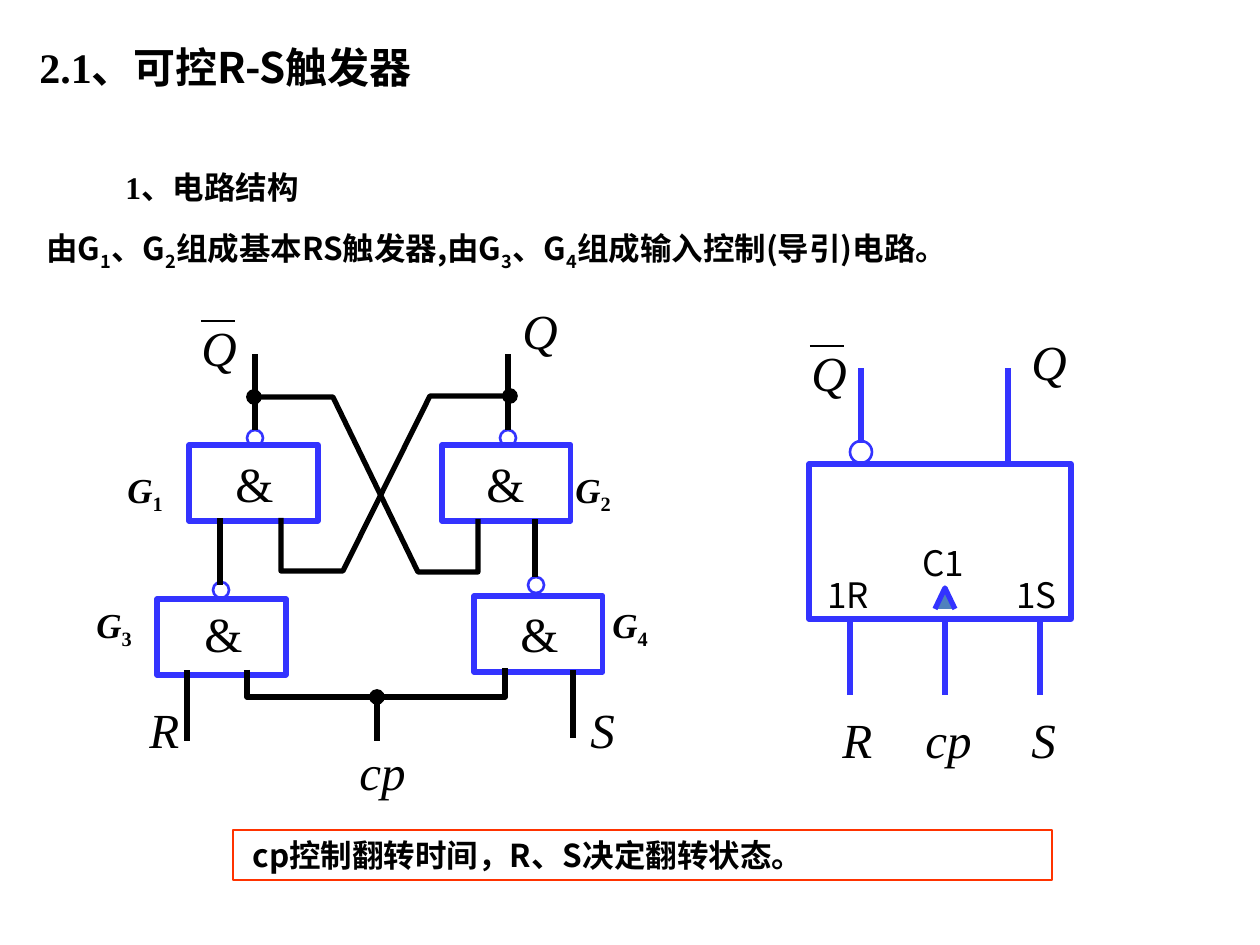
from lxml.etree import SubElement
from pptx import Presentation
from pptx.dml.color import RGBColor
from pptx.enum.shapes import MSO_CONNECTOR, MSO_SHAPE
from pptx.enum.text import MSO_ANCHOR, MSO_AUTO_SIZE, PP_ALIGN
from pptx.oxml.ns import qn
from pptx.util import Pt

PX = 914400 / 126
THEME = {
    "black": RGBColor(0x00, 0x00, 0x00),
    "blue": RGBColor(0x33, 0x33, 0xFF),
    "red": RGBColor(0xFF, 0x33, 0x00),
    "clock": RGBColor(0x4F, 0x81, 0xBD),
    "serif": "Times New Roman",
    "sans": "Noto Sans CJK SC",
    "title": Pt(24),
    "body": Pt(18),
    "symbol": Pt(28),
    "pin": Pt(20),
    "wire": Pt(3),
    "thin": Pt(1.5),
    "frame": Pt(0.75),
}

deck = Presentation()
deck.slide_width, deck.slide_height = round(1260 * PX), round(945 * PX)
page = deck.slides.add_slide(deck.slide_layouts[5])


def write(box, pieces, size, bold=False, italic=False):
    para = box.text_frame.paragraphs[0]
    for face, text in pieces:
        first, *rest = text.split("_")
        parts = [(first, False)]
        for part in rest:
            parts += [(part[0], True), (part[1:], False)]
        for part, lowered in parts:
            if not part:
                continue
            span = para.add_run()
            span.text = part
            looks = {"name": THEME[face], "size": THEME[size],
                     "bold": bold, "italic": italic and not lowered}
            for name, value in looks.items():
                setattr(span.font, name, value)
            span.font.color.rgb = THEME["black"]
            SubElement(span.font._element, qn("a:ea"), typeface=THEME[face])
            if lowered:
                span.font._element.set("baseline", "-25000")
    return para


def draw_line(points, color="black", weight="wire", dot=False):
    if len(points) == 2:
        ends = [round(value * PX) for point in points for value in point]
        wire = page.shapes.add_connector(MSO_CONNECTOR.STRAIGHT, *ends)
    else:
        outline = page.shapes.build_freeform(*points[0], scale=PX)
        outline.add_line_segments(points[1:], close=False)
        wire = outline.convert_to_shape()
        wire.fill.background()
    wire.line.color.rgb = THEME[color]
    wire.line.width = THEME[weight]
    if dot:
        SubElement(wire.line._get_or_add_ln(), qn("a:tailEnd"), type="oval")
    SubElement(wire._element.spPr, qn("a:effectLst"))
    return wire


title = page.shapes.title
place = {"left": 0, "top": 35, "width": 451, "height": 63}
for name, value in place.items():
    setattr(title, name, round(value * PX))
settings = {"vertical_anchor": MSO_ANCHOR.MIDDLE, "auto_size": MSO_AUTO_SIZE.NONE,
            "word_wrap": True}
for name, value in settings.items():
    setattr(title.text_frame, name, value)
heading = write(title, [("serif", "2.1"), ("sans", "、可控R-S触发器")], "title", bold=True)
heading.alignment = PP_ALIGN.CENTER

gates = [
    ("G_1", 189, 445, 247, 430, 223, 447, 115, 462),
    ("G_2", 442, 445, 500, 430, 474, 447, 563, 462),
    ("G_3", 157, 599, 213, 582, 192, 597, 84, 597),
    ("G_4", 474, 596, 528, 577, 508, 597, 600, 597),
]
outlines = [
    (MSO_SHAPE.RECTANGLE, 233, 830, 819, 50, "red", "frame"),
    (MSO_SHAPE.RECTANGLE, 809, 464, 262, 155, "blue", "wire"),
    (MSO_SHAPE.OVAL, 850, 441, 22, 22, "blue", "thin"),
]
labels = [
    ("Q", 799, 336), ("Q", 1019, 325), ("R", 830, 703), ("cp", 913, 703), ("S", 1019, 703),
    ("Q", 189, 311), ("Q", 510, 294), ("R", 137, 693), ("cp", 347, 735), ("S", 578, 693),
    ("1R", 815, 567), ("1S", 1004, 567), ("C1", 910, 535),
]
for name, left, top, bubble_left, bubble_top, and_left, and_top, name_left, name_top in gates:
    outlines += [
        (MSO_SHAPE.RECTANGLE, left, top, 129, 76, "blue", "wire"),
        (MSO_SHAPE.OVAL, bubble_left, bubble_top, 16, 16, "blue", "thin"),
    ]
    labels += [("&", and_left, and_top), (name, name_left, name_top)]

for kind, left, top, width, height, color, weight in outlines:
    place = [round(value * PX) for value in (left, top, width, height)]
    box = page.shapes.add_shape(kind, *place)
    box.shadow.inherit = False
    box.fill.background()
    box.line.color.rgb = THEME[color]
    box.line.width = THEME[weight]
    if color == "red":
        box.text_frame.word_wrap = True
        box.text_frame.vertical_anchor = MSO_ANCHOR.TOP
        note = write(box, [("sans", " cp控制翻转时间，R、S决定翻转状态。")], "body", bold=True)
        note.alignment = PP_ALIGN.LEFT
        note.space_before = Pt(11.2)

for x in (850, 945, 1040):
    draw_line([(x, 695), (x, 620)], "blue")
draw_line([(861, 443), (861, 368)], "blue")
draw_line([(1008, 466), (1008, 368)], "blue")
clock = draw_line([(935, 609), (945, 588), (955, 609)], "blue")
clock.fill.solid()
clock.fill.fore_color.rgb = THEME["clock"]

for left, y in ((810, 346), (201, 321)):
    draw_line([(left, y), (left + 34, y)], weight="thin")
for x, bottom, top in ((255, 430, 354), (508, 430, 354), (220, 585, 518),
                       (535, 577, 519), (187, 741, 670), (573, 738, 670)):
    draw_line([(x, bottom), (x, top)])
draw_line([(281, 518), (281, 571), (343, 571), (430, 396), (510, 396)], dot=True)
draw_line([(478, 519), (478, 572), (418, 572), (333, 397), (254, 397)], dot=True)
draw_line([(247, 670), (247, 697), (505, 697), (505, 668)])
draw_line([(377, 741), (377, 697)], dot=True)

symbol_widths = {"Q": 60, "R": 55, "S": 49, "cp": 71, "&": 63}
for text, left, top in labels:
    if text in symbol_widths:
        width, height = symbol_widths[text], 72
        looks = {"size": "symbol", "italic": text != "&"}
        face = "serif"
    elif "_" in text:
        width, height = 77, 60
        looks = {"size": "pin", "bold": True, "italic": True}
        face = "serif"
    else:
        width, height = 67, 55
        looks = {"size": "pin"}
        face = "sans"
    box = page.shapes.add_textbox(*[round(value * PX) for value in (left, top, width, height)])
    box.text_frame.word_wrap = "_" in text
    box.text_frame.auto_size = MSO_AUTO_SIZE.SHAPE_TO_FIT_TEXT
    write(box, [(face, text)], **looks)

section = page.shapes.add_textbox(*[round(value * PX) for value in (113, 155, 427, 63)])
section.text_frame.word_wrap = True
section.text_frame.vertical_anchor = MSO_ANCHOR.MIDDLE
write(section, [("serif", "1"), ("sans", "、电路结构")], "body", bold=True)

summary = page.shapes.add_textbox(*[round(value * PX) for value in (34, 214, 1226, 64)])
summary.text_frame.word_wrap = True
sentence = "由G_1、G_2组成基本RS触发器,由G_3、G_4组成输入控制(导引)电路。"
para = write(summary, [("sans", sentence)], "body", bold=True)
para.line_spacing = 1.2
para.space_before = Pt(11.2)

deck.save("out.pptx")
